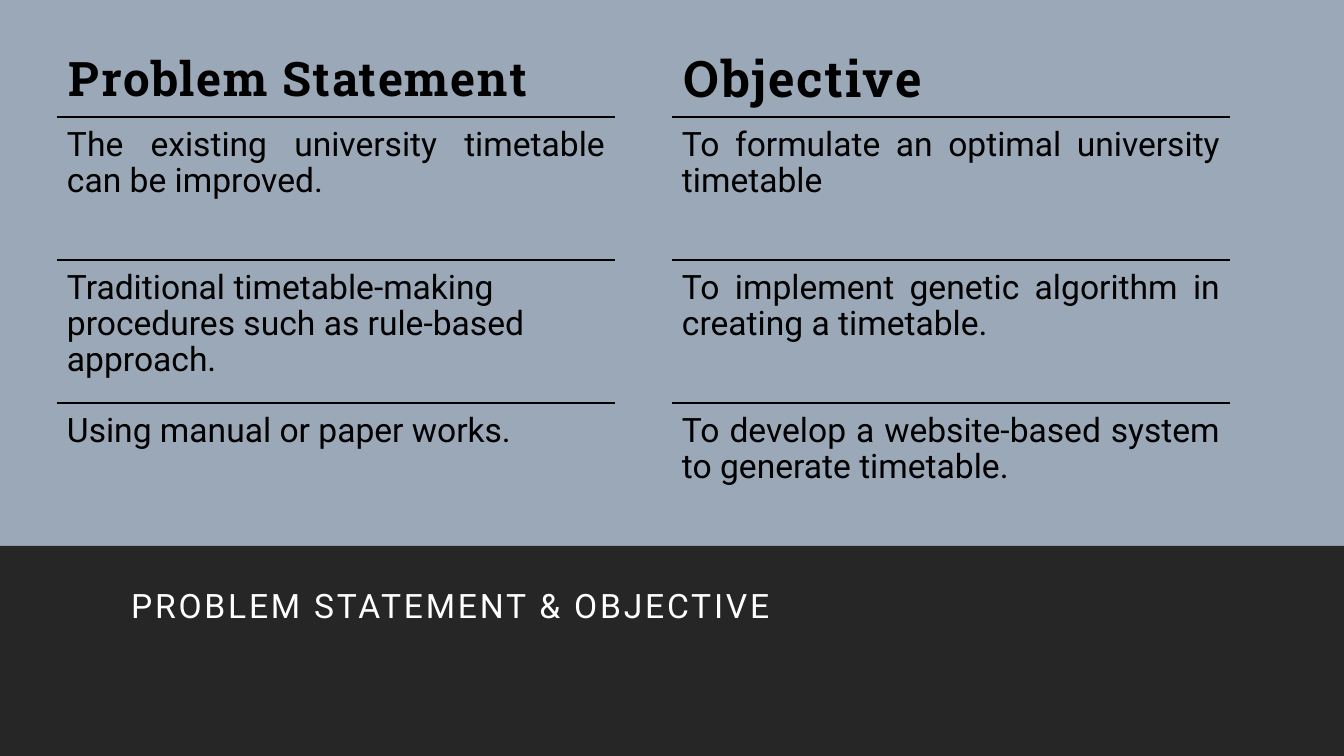
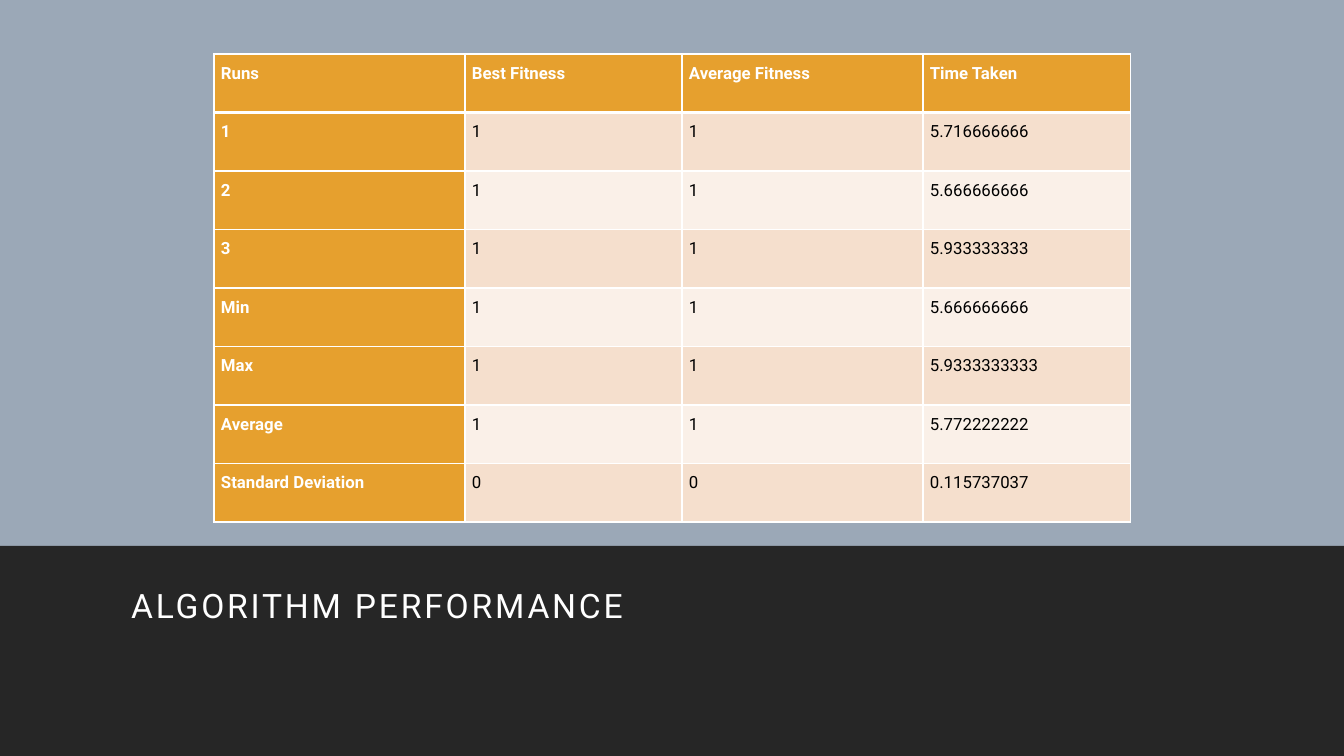
from lxml.etree import SubElement
from pptx import Presentation
from pptx.dml.color import RGBColor
from pptx.enum.shapes import MSO_CONNECTOR, MSO_SHAPE
from pptx.enum.text import MSO_ANCHOR, MSO_AUTO_SIZE, PP_ALIGN
from pptx.oxml import parse_xml
from pptx.oxml.ns import nsdecls, qn
from pptx.util import Emu, Pt

PX = 914400 / 100.8
COLORS = {
    "background": "9BA8B7",
    "band": "262626",
    "dark": "000000",
    "light": "FFFFFF",
    "header": "E6A02E",
    "odd": "F5DFCD",
    "even": "FAF0E8",
}


def px(*lengths):
    return [Emu(round(length * PX)) for length in lengths]


def write(frame, text, color, size, font="Roboto", bold=False, spacing=0,
          frame_format=None, paragraph_format=None):
    """Fill a text frame or table cell with one formatted paragraph."""
    paragraph = frame.paragraphs[0] if hasattr(frame, "paragraphs") else frame.text_frame.paragraphs[0]
    run = paragraph.add_run()
    run.text = text
    run.font.color.rgb = RGBColor.from_string(COLORS[color])
    if spacing:
        run.font._element.set("spc", str(round(spacing * 100)))
    formats = [
        (frame, frame_format or {}),
        (paragraph, paragraph_format or {}),
        (run.font, {"name": font, "size": Pt(size), "bold": bold}),
    ]
    for target, values in formats:
        for name, value in values.items():
            setattr(target, name, value)


presentation = Presentation()
presentation.slide_width, presentation.slide_height = px(1344, 756)
layout = presentation.slide_layouts.get_by_name("Title Only")
layout.background.fill.solid()
layout.background.fill.fore_color.rgb = RGBColor.from_string(COLORS["background"])

# Shared frame: dark band with the title on it
slides = []
for title_text in ["PROBLEM STATEMENT & OBJECTIVE", "ALGORITHM PERFORMANCE"]:
    slide = presentation.slides.add_slide(layout)
    slides.append(slide)
    band = slide.shapes.add_shape(MSO_SHAPE.RECTANGLE, *px(0, 546, 1344, 210))
    band.shadow.inherit = False
    band.fill.solid()
    band.fill.fore_color.rgb = RGBColor.from_string(COLORS["band"])
    band.line.fill.background()
    title = slide.shapes.title
    title._element.addprevious(band._element)
    title.left, title.top, title.width, title.height = px(121, 576, 1109, 126)
    write(
        title.text_frame, title_text, "light", 24, spacing=2,
        frame_format={
            "word_wrap": True,
            "auto_size": MSO_AUTO_SIZE.NONE,
            "vertical_anchor": MSO_ANCHOR.TOP,
        },
        paragraph_format={
            "alignment": PP_ALIGN.LEFT,
            "line_spacing": 1.1,
            "space_before": Pt(12),
            "space_after": Pt(2),
        },
    )

problem_slide, performance_slide = slides

# Slide 1: two columns of ruled statements
COLUMN_WIDTH, RULE_TOP, ITEM_HEIGHT = 558, 117, 143
JUSTIFY, LEFT = PP_ALIGN.JUSTIFY, PP_ALIGN.LEFT
columns = [
    (57, "Problem Statement", 34, [
        ("The existing university timetable can be improved.", JUSTIFY),
        ("Traditional timetable-making procedures such as rule-based approach.", LEFT),
        ("Using manual or paper works.", JUSTIFY),
    ]),
    (672, "Objective", 36, [
        ("To formulate an optimal university timetable", JUSTIFY),
        ("To implement genetic algorithm in creating a timetable.", JUSTIFY),
        ("To develop a website-based system to generate timetable.", JUSTIFY),
    ]),
]
margins = ["margin_left", "margin_top", "margin_right", "margin_bottom"]
heading_format = dict(zip(margins, px(12, 12, 12, 10)))
heading_format.update(word_wrap=True, vertical_anchor=MSO_ANCHOR.MIDDLE)
item_format = dict(zip(margins, px(10, 10, 10, 10)))
item_format.update(word_wrap=True, vertical_anchor=MSO_ANCHOR.TOP)

for left, heading, heading_size, items in columns:
    heading_box = problem_slide.shapes.add_textbox(*px(left, 36, COLUMN_WIDTH, 81))
    write(heading_box.text_frame, heading, "dark", heading_size, "Roboto Slab",
          bold=True, spacing=1.2, frame_format=heading_format)
    for index, (text, alignment) in enumerate(items):
        top = RULE_TOP + index * ITEM_HEIGHT
        rule = problem_slide.shapes.add_connector(
            MSO_CONNECTOR.STRAIGHT, *px(left, top, left + COLUMN_WIDTH, top))
        rule.line.color.rgb = RGBColor.from_string(COLORS["dark"])
        rule.line.width = Pt(1.25)
        SubElement(rule._element.spPr, qn("a:effectLst"))
        item_box = problem_slide.shapes.add_textbox(*px(left, top, COLUMN_WIDTH, ITEM_HEIGHT))
        write(item_box.text_frame, text, "dark", 24, frame_format=item_format,
              paragraph_format={"alignment": alignment, "line_spacing": 0.9})

# Slide 2: results table
results = [
    ("Runs", "Best Fitness", "Average Fitness", "Time Taken"),
    ("1", "1", "1", "5.716666666"),
    ("2", "1", "1", "5.666666666"),
    ("3", "1", "1", "5.933333333"),
    ("Min", "1", "1", "5.666666666"),
    ("Max", "1", "1", "5.9333333333"),
    ("Average", "1", "1", "5.772222222"),
    ("Standard Deviation", "0", "0", "0.115737037"),
]
column_widths = [251, 217, 241, 208]
table = performance_slide.shapes.add_table(
    len(results), len(column_widths), *px(214, 54, sum(column_widths), 468)).table
for column, width in zip(table.columns, px(*column_widths)):
    column.width = width

cell_format = dict(zip(margins, px(7, 0, 7, 0)))
cell_paragraph = {"alignment": JUSTIFY, "line_spacing": 1.5, "space_after": Pt(18)}
for row_index, row in enumerate(results):
    for column_index, text in enumerate(row):
        cell = table.cell(row_index, column_index)
        is_header = row_index == 0 or column_index == 0
        fill = "header" if is_header else ("odd" if row_index % 2 else "even")
        cell.fill.solid()
        cell.fill.fore_color.rgb = RGBColor.from_string(COLORS[fill])
        write(cell, text, "light" if is_header else "dark", 12, bold=is_header,
              frame_format=cell_format, paragraph_format=cell_paragraph)
        border_widths = {
            "lnL": 1,
            "lnR": 1,
            "lnT": 3 if row_index == 1 else 1,
            "lnB": 3 if row_index == 0 else 1,
        }
        for position, (side, width) in enumerate(border_widths.items()):
            border = parse_xml(
                f'<a:{side} {nsdecls("a")} w="{Pt(width)}"><a:solidFill>'
                f'<a:srgbClr val="{COLORS["light"]}"/></a:solidFill></a:{side}>')
            cell._tc.get_or_add_tcPr().insert(position, border)

presentation.save("out.pptx")
